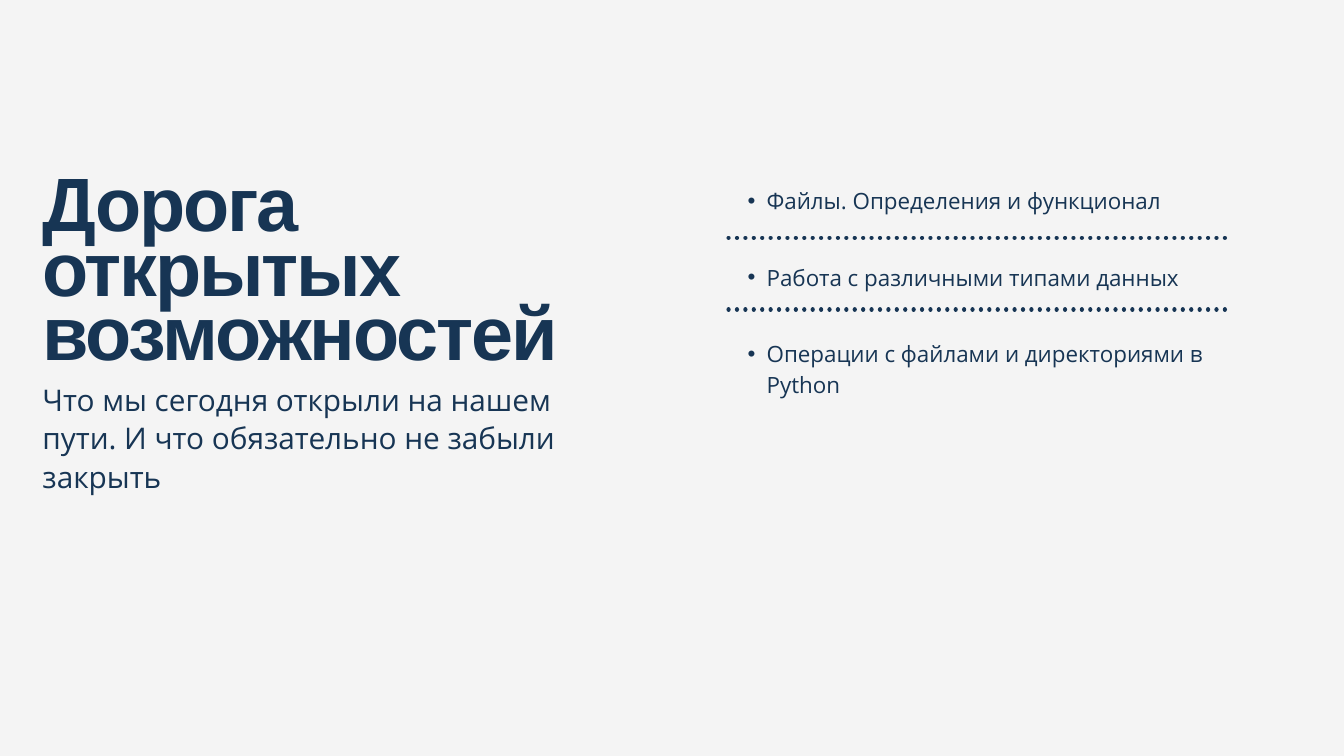
from lxml import etree
from pptx import Presentation
from pptx.dml.color import RGBColor
from pptx.enum.dml import MSO_LINE
from pptx.enum.shapes import MSO_CONNECTOR
from pptx.enum.text import MSO_ANCHOR, MSO_AUTO_SIZE, PP_ALIGN
from pptx.oxml.ns import qn
from pptx.util import Cm, Pt

STRAIGHT, DOTTED = MSO_CONNECTOR.STRAIGHT, MSO_LINE.ROUND_DOT
TOP, LEFT, NO_FIT = MSO_ANCHOR.TOP, PP_ALIGN.LEFT, MSO_AUTO_SIZE.NONE

HEADING = "Дорога открытых возможностей"
SUBHEADING = "Что мы сегодня открыли на нашем пути. И что обязательно не забыли закрыть"
TOPICS = [
    "Файлы. Определения и функционал",
    "Работа с различными типами данных",
    "Операции с файлами и директориями в Python",
]

THEME = {
    "ink": RGBColor(0x17, 0x35, 0x54),
    "paper": RGBColor(0xF4, 0xF4, 0xF4),
    "rule": Pt(3),
    "heading": {"name": "Arial", "size": Pt(54), "bold": True},
    "subheading": {"name": "Open Sans", "size": Pt(21.3), "bold": False},
    "topic": {"name": "Open Sans", "size": Pt(16), "bold": False},
}

TOPICS_LEFT, TOPICS_WIDTH = 18.36, 12.58
RULE_TOPS = [5.99, 7.8]
TOPIC_LEADING, TOPIC_PITCH = 22.4, 54.72
BULLET_INDENT = Cm(0.48)


def fill_placeholder(placeholder, box, texts, style, leading, gap=0, bullet=None):
    """Place the box (left, top, width, height in cm) and write one paragraph per text."""
    placeholder.left, placeholder.top, placeholder.width, placeholder.height = map(Cm, box)
    frame = placeholder.text_frame
    frame_format = {
        "margin_left": 0, "margin_top": 0, "margin_right": 0, "margin_bottom": 0,
        "word_wrap": True, "auto_size": NO_FIT, "vertical_anchor": TOP,
    }
    for attribute, value in frame_format.items():
        setattr(frame, attribute, value)

    for index, text in enumerate(texts):
        paragraph = frame.add_paragraph() if index else frame.paragraphs[0]
        properties = paragraph._p.get_or_add_pPr()
        properties.set("marL", str(2 * BULLET_INDENT if bullet else 0))
        properties.set("indent", str(-BULLET_INDENT if bullet else 0))
        if bullet:
            etree.SubElement(properties, qn("a:buFont")).set("typeface", "Arial")
            etree.SubElement(properties, qn("a:buChar")).set("char", bullet)
        else:
            etree.SubElement(properties, qn("a:buNone"))
        paragraph_format = {
            "alignment": LEFT, "line_spacing": Pt(leading),
            "space_before": Pt(gap if index else 0), "space_after": Pt(0),
        }
        for attribute, value in paragraph_format.items():
            setattr(paragraph, attribute, value)
        run = paragraph.add_run()
        run.text = text
        for attribute, value in THEME[style].items():
            setattr(run.font, attribute, value)
        run.font.color.rgb = THEME["ink"]


def add_dotted_rule(slide, top):
    right = TOPICS_LEFT + TOPICS_WIDTH
    rule = slide.shapes.add_connector(STRAIGHT, Cm(TOPICS_LEFT), Cm(top), Cm(right), Cm(top))
    rule.line.color.rgb = THEME["ink"]
    rule.line.width = THEME["rule"]
    rule.line.dash_style = DOTTED
    properties = rule._element.spPr
    properties.find(qn("a:ln")).set("cap", "rnd")
    etree.SubElement(properties, qn("a:effectLst"))


def main():
    deck = Presentation()
    deck.slide_width, deck.slide_height = Cm(33.87), Cm(19.05)
    two_content = deck.slide_layouts[3]
    slide = deck.slides.add_slide(two_content)
    slide.background.fill.solid()
    slide.background.fill.fore_color.rgb = THEME["paper"]

    heading, subheading, topics = slide.placeholders
    fill_placeholder(heading, (1.07, 4.6, 14.25, 4.95), [HEADING], "heading", 46)
    heading.text_frame.paragraphs[0].runs[0].font._element.set("spc", "-150")
    fill_placeholder(subheading, (1.07, 9.53, 14.45, 2.93), [SUBHEADING], "subheading", 27.7)
    fill_placeholder(topics, (TOPICS_LEFT, 4.6, TOPICS_WIDTH, 5.36), TOPICS, "topic",
                     TOPIC_LEADING, gap=TOPIC_PITCH - TOPIC_LEADING, bullet="•")
    for top in RULE_TOPS:
        add_dotted_rule(slide, top)

    deck.save("out.pptx")


if __name__ == "__main__":
    main()
